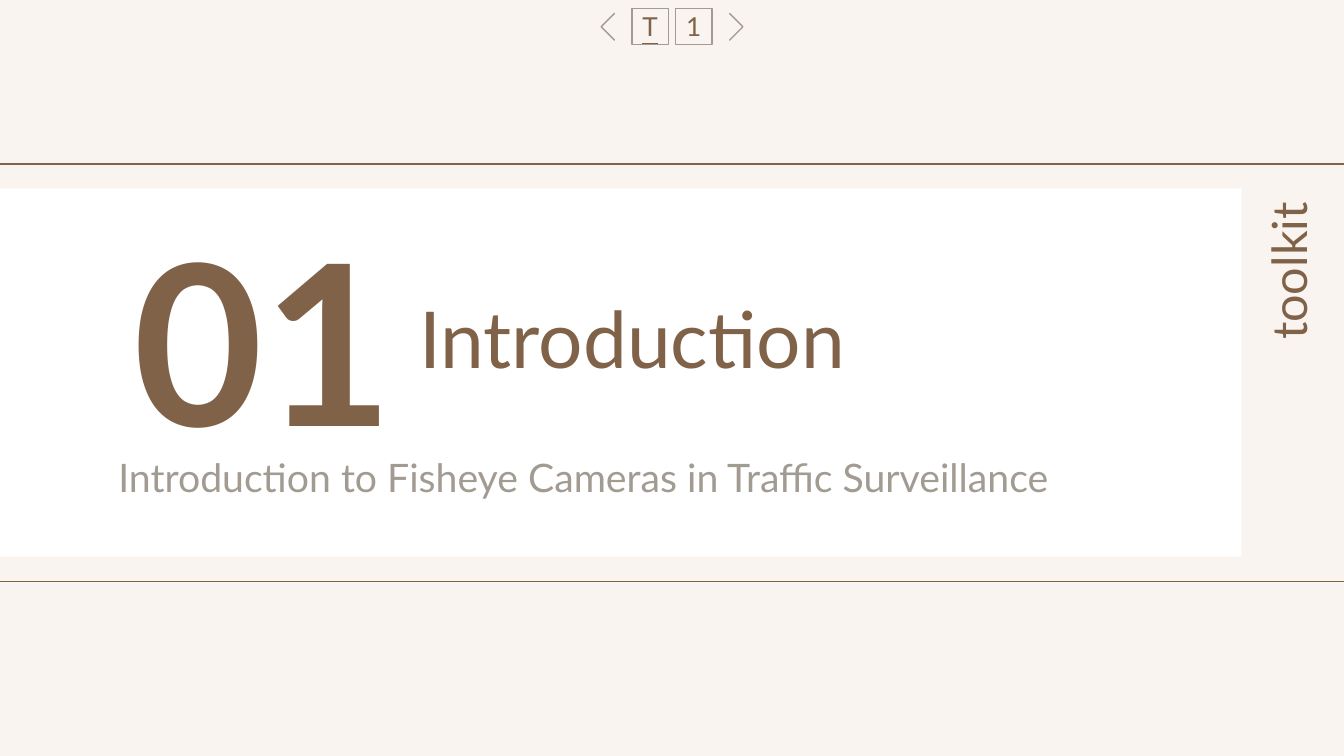
"""Build the section slide that opens the Introduction."""
from lxml import etree
from pptx import Presentation
from pptx.dml.color import RGBColor
from pptx.enum.shapes import MSO_CONNECTOR, MSO_SHAPE
from pptx.enum.text import MSO_ANCHOR, MSO_AUTO_SIZE, PP_ALIGN
from pptx.oxml.ns import qn
from pptx.util import Inches, Pt

RECT, CHEVRON = MSO_SHAPE.RECTANGLE, MSO_SHAPE.HALF_FRAME
STRAIGHT = MSO_CONNECTOR.STRAIGHT
TOP, MIDDLE = MSO_ANCHOR.TOP, MSO_ANCHOR.MIDDLE
LEFT, CENTER, RIGHT = PP_ALIGN.LEFT, PP_ALIGN.CENTER, PP_ALIGN.RIGHT
FIXED = MSO_AUTO_SIZE.NONE

WIDTH = Inches(10)
HEIGHT = WIDTH * 9 // 16
COLORS = {"paper": "F9F4F0", "card": "FFFFFF", "brown": "806248", "gray": "A29B92"}
PAD = Inches(0.1)


def color(name):
    """Return the named colour."""
    return RGBColor.from_string(COLORS[name])


def area(x, y, w, h):
    """Turn percent shares of the slide into a left, top, width and height."""
    return [int(size * part / 100)
            for size, part in zip((WIDTH, HEIGHT, WIDTH, HEIGHT), (x, y, w, h))]


def place(shape, box):
    """Move and size a shape."""
    for name, value in zip(("left", "top", "width", "height"), box):
        setattr(shape, name, value)


def write(shape, text, size, tint="brown", align=LEFT, anchor=MIDDLE, side=PAD, **style):
    """Fill a shape with one formatted paragraph."""
    frame = shape.text_frame
    layout = {"word_wrap": True, "auto_size": FIXED, "vertical_anchor": anchor,
              "margin_left": side, "margin_right": side,
              "margin_top": PAD, "margin_bottom": PAD}
    for name, value in layout.items():
        setattr(frame, name, value)
    line = frame.paragraphs[0]
    line.alignment, line.space_before = align, Pt(0)
    run = line.add_run()
    run.text = text
    for name, value in {"name": "Lato", "size": Pt(size), **style}.items():
        setattr(run.font, name, value)
    run.font.color.rgb = color(tint)


def draw(slide, kind, box, fill=None, edge=None):
    """Add a flat preset shape."""
    shape = slide.shapes.add_shape(kind, *box)
    shape.shadow.inherit = False
    if fill:
        shape.fill.solid()
        shape.fill.fore_color.rgb = color(fill)
    else:
        shape.fill.background()
    if edge:
        shape.line.color.rgb = color(edge)
        shape.line.width = Pt(0.75)
    else:
        shape.line.fill.background()
    return shape


def rule(slide, share):
    """Add a line across the slide at a share of its height."""
    y = int(HEIGHT * share / 100)
    line = slide.shapes.add_connector(STRAIGHT, 0, y, WIDTH, y)
    line.line.color.rgb = color("brown")
    line.line.width = Pt(0.75)
    etree.SubElement(line._element.spPr, qn("a:effectLst"))


def button(slide, x, text, **style):
    """Add a small square page button."""
    shape = draw(slide, RECT, area(x, 1.1, 2.7, 4.8), edge="gray")
    write(shape, text, 14, align=CENTER, side=0, **style)


def arrow(slide, x, turn):
    """Add a chevron turned to point left or right."""
    shape = draw(slide, CHEVRON, area(x, 2.3, 1.4, 2.49), "brown", "gray")
    shape.adjustments[0] = shape.adjustments[1] = 0
    shape.rotation = turn


def label(slide, box, text, size, turn=0, **style):
    """Add a text box."""
    shape = slide.shapes.add_textbox(*box)
    shape.rotation = turn
    write(shape, text, size, **style)


def main():
    """Build and save the slide."""
    deck = Presentation()
    deck.slide_width, deck.slide_height = WIDTH, HEIGHT
    slide = deck.slides.add_slide(deck.slide_layouts[0])
    slide.background.fill.solid()
    slide.background.fill.fore_color.rgb = color("paper")

    card = draw(slide, RECT, area(0, 24.9, 92.37, 48.75), "card")
    slide.shapes._spTree.insert(2, card._element)
    for share in (21.7, 76.95):
        rule(slide, share)

    title, lead = slide.placeholders
    place(title, area(30.2, 31, 47.4, 27.2))
    write(title, "Introduction", 42)
    place(lead, area(7.8, 58.25, 74.6, 10.49))
    write(lead, "Introduction to Fisheye Cameras in Traffic Surveillance", 21,
          "gray", anchor=TOP)
    label(slide, area(7.8, 31, 23.6, 27.2), "01", 120, align=CENTER, bold=True)
    label(slide, area(86.7, 34.67, 18.2, 13), "toolkit", 26, turn=270, align=RIGHT)

    button(slide, 47.03, "T", underline=True)
    button(slide, 50.27, "1")
    arrow(slide, 45.02, 315)
    arrow(slide, 53.58, 135)
    deck.save("out.pptx")


if __name__ == "__main__":
    main()
